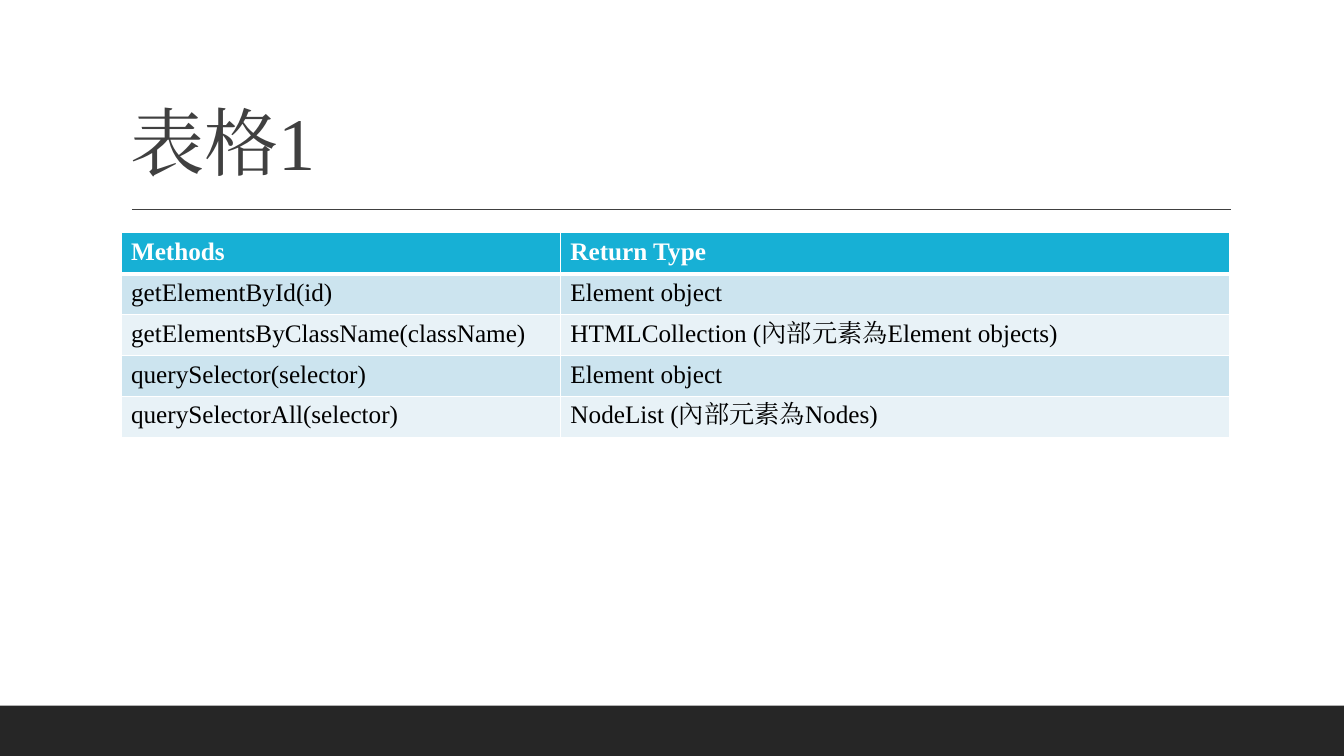
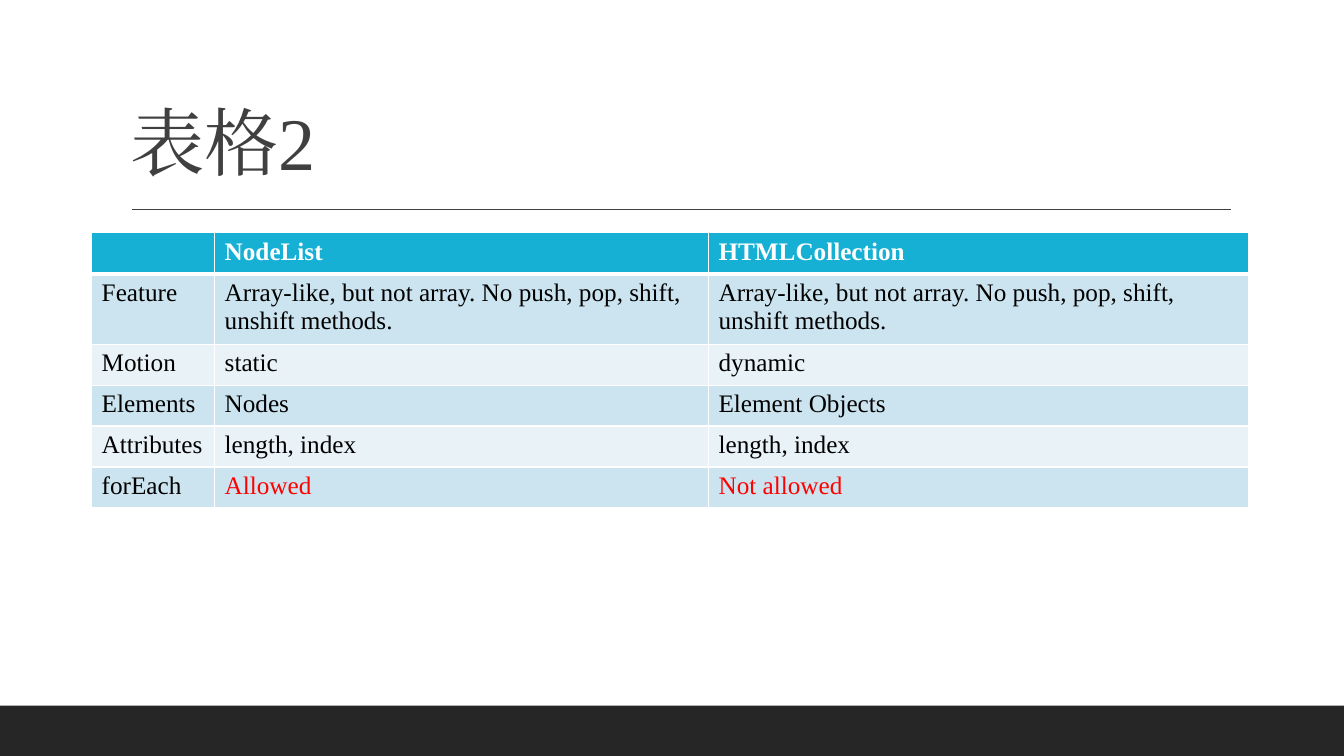
"""Build two titled slides that compare DOM query methods and their collections."""
from lxml.etree import SubElement
from pptx import Presentation
from pptx.dml.color import RGBColor
from pptx.enum.shapes import MSO_CONNECTOR as Connector, MSO_SHAPE as Shape
from pptx.enum.text import MSO_ANCHOR as Anchor
from pptx.oxml import parse_xml
from pptx.oxml.ns import nsdecls, qn
from pptx.util import Inches, Pt

COLORS = {
    "band": "262626", "ink": "404040", "header": "17B0D5", "odd": "CCE4EF",
    "even": "E8F2F7", "white": "FFFFFF", "black": "000000", "accent": "FF0000",
}
FONT = "Times New Roman"
ARRAY_LIKE = "Array-like, but not array. No push, pop, shift, unshift methods."
SLIDES = [
    {
        "title": "表格1", "left": 9, "columns": [32.7, 49.8], "accented": [],
        "rows": [
            ["Methods", "Return Type"],
            ["getElementById(id)", "Element object"],
            ["getElementsByClassName(className)",
             "HTMLCollection (內部元素為Element objects)"],
            ["querySelector(selector)", "Element object"],
            ["querySelectorAll(selector)", "NodeList (內部元素為Nodes)"],
        ],
    },
    {
        "title": "表格2", "left": 6.82, "columns": [9.15, 36.75, 40.2],
        "accented": ["Allowed", "Not allowed"],
        "rows": [
            ["", "NodeList", "HTMLCollection"],
            ["Feature", ARRAY_LIKE, ARRAY_LIKE],
            ["Motion", "static", "dynamic"],
            ["Elements", "Nodes", "Element Objects"],
            ["Attributes", "length, index", "length, index"],
            ["forEach", "Allowed", "Not allowed"],
        ],
    },
]


def style_text(paragraph, size, color, bold=False, spacing=0):
    """Format every run of a paragraph."""
    for run in paragraph.runs:
        run.font.size, run.font.bold, run.font.name = Pt(size), bold, FONT
        run.font.color.rgb = RGBColor.from_string(COLORS[color])
        properties = run.font._element
        properties.set("spc", str(spacing))
        SubElement(properties, qn("a:ea")).set("typeface", FONT)


def add_borders(cell, top, bottom):
    """Draw white borders, with the top and bottom widths in points."""
    properties = cell._tc.get_or_add_tcPr()
    for index, (side, points) in enumerate(zip("LRTB", (1, 1, top, bottom))):
        properties.insert(index, parse_xml(
            f'<a:ln{side} {nsdecls("a")} w="{Pt(points)}"><a:solidFill>'
            f'<a:srgbClr val="{COLORS["white"]}"/></a:solidFill></a:ln{side}>'))


presentation = Presentation()
presentation.slide_width, presentation.slide_height = Inches(13.33), Inches(7.5)
column = presentation.slide_width / 100
row = presentation.slide_height / 100
band_top, row_height = 93.33, 5.41

for content in SLIDES:
    slide = presentation.slides.add_slide(presentation.slide_layouts[6])

    band = slide.shapes.add_shape(
        Shape.RECTANGLE, 0, int(band_top * row),
        presentation.slide_width, int((100 - band_top) * row))
    band.shadow.inherit = False
    band.fill.solid()
    band.fill.fore_color.rgb = RGBColor.from_string(COLORS["band"])
    band.line.fill.background()

    rule = slide.shapes.add_connector(
        Connector.STRAIGHT, int(9.82 * column), int(27.73 * row),
        int(91.6 * column), int(27.73 * row))
    rule.line.color.rgb = RGBColor.from_string(COLORS["ink"])
    rule.line.width = Pt(1)
    SubElement(rule._element.spPr, qn("a:effectLst"))

    title = slide.shapes.add_textbox(
        int(9 * column), int(4.13 * row), int(82.5 * column), int(21.2 * row))
    title.text_frame.word_wrap = True
    title.text_frame.vertical_anchor = Anchor.BOTTOM
    title.text_frame.text = content["title"]
    paragraph = title.text_frame.paragraphs[0]
    paragraph.line_spacing = 0.9
    style_text(paragraph, 53, "ink", spacing=-50)

    rows, widths = content["rows"], content["columns"]
    table = slide.shapes.add_table(
        len(rows), len(widths), int(content["left"] * column), int(30.8 * row),
        int(sum(widths) * column), int(len(rows) * row_height * row)).table
    for table_column, width in zip(table.columns, widths):
        table_column.width = int(width * column)

    for row_index, texts in enumerate(rows):
        is_header = row_index == 0
        fill = "header" if is_header else "odd" if row_index % 2 else "even"
        for column_index, text in enumerate(texts):
            cell = table.cell(row_index, column_index)
            cell.fill.solid()
            cell.fill.fore_color.rgb = RGBColor.from_string(COLORS[fill])
            add_borders(cell, top=3 if row_index == 1 else 1,
                        bottom=3 if is_header else 1)
            cell.text_frame.text = text
            color = ("white" if is_header else
                     "accent" if text in content["accented"] else "black")
            style_text(cell.text_frame.paragraphs[0], 18, color, bold=is_header)

presentation.save("out.pptx")
